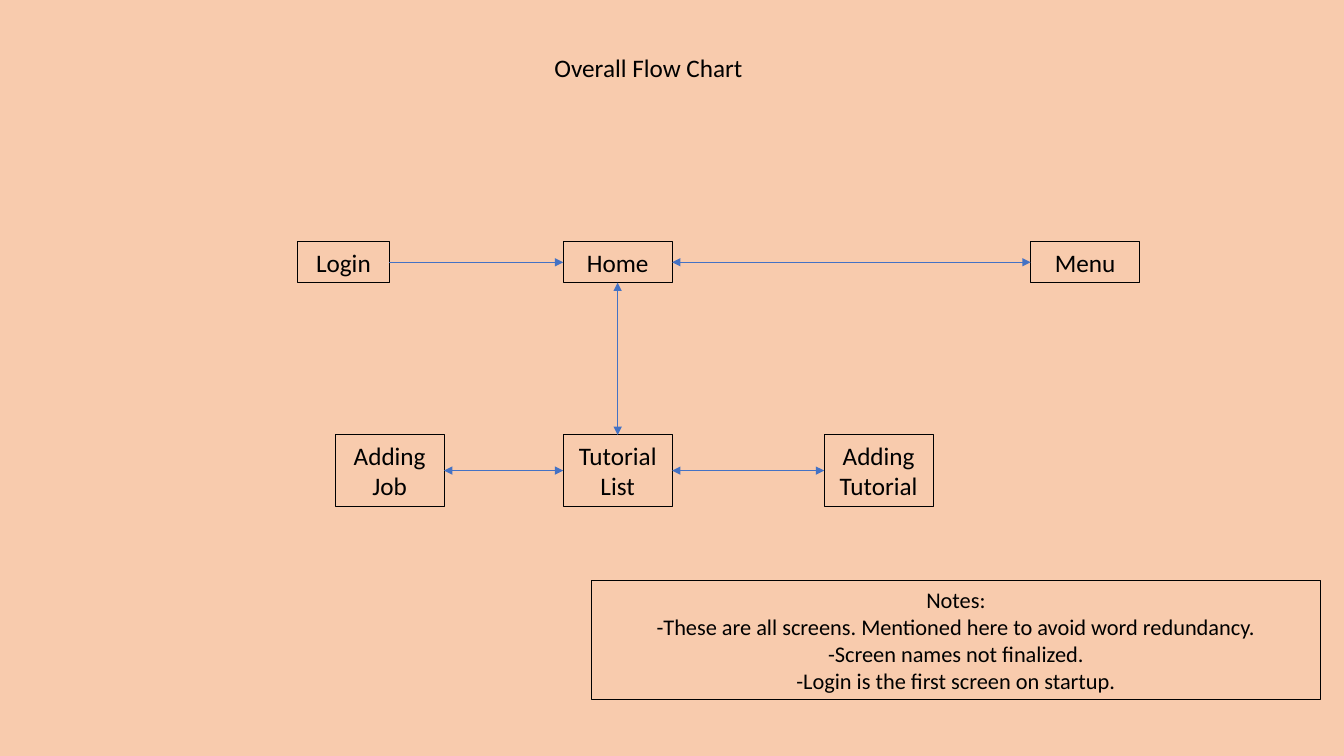
import pptx
import pptx.util
import pptx.dml.color
import pptx.enum.shapes
import pptx.enum.text
import pptx.oxml
import pptx.oxml.ns
from dataclasses import dataclass

Pt = pptx.util.Pt
RGB = pptx.dml.color.RGBColor.from_string
ALIGN = pptx.enum.text.PP_ALIGN

# Content
TITLE = "Overall Flow Chart"
NOTES = [
    "Notes:",
    "-These are all screens. Mentioned here to avoid word redundancy.",
    "-Screen names not finalized.",
    "-Login is the first screen on startup.",
]
# Each row: top, height, then (screen, left, width)
ROWS = [
    (172.8, 29.1, [("Login", 212.4, 65.8), ("Home", 402.3, 77.8), ("Menu", 736.2, 77.8)]),
    (310.7, 50.9, [("Adding Job", 239.4, 77.8), ("Tutorial List", 402.3, 77.8),
                   ("Adding Tutorial", 588.7, 77.8)]),
]
# Connection sites of a rectangle
LEFT, BOTTOM, RIGHT, TOP = 1, 2, 3, 0
# From screen, site, to screen, site, arrow at both ends
LINKS = [
    ("Login", RIGHT, "Home", LEFT, False),
    ("Home", RIGHT, "Menu", LEFT, True),
    ("Home", BOTTOM, "Tutorial List", TOP, True),
    ("Adding Job", RIGHT, "Tutorial List", LEFT, True),
    ("Tutorial List", RIGHT, "Adding Tutorial", LEFT, True),
]


@dataclass
class Theme:
    font: str = "Calibri"
    background: str = "F8CBAD"
    ink: str = "000000"
    arrow: str = "4472C4"
    body: float = 18
    notes: float = 16
    border: float = 0.75
    arrow_width: float = 0.5


theme = Theme()


def write(sp, lines, size, align):
    tf = sp.text_frame
    tf.text = "\n".join(lines)
    for p in tf.paragraphs:
        p.alignment = align
        p.line_spacing = 1.0
        for r in p.runs:
            r.font.name = theme.font
            r.font.size = Pt(size)
            r.font.color.rgb = RGB(theme.ink)


def add_box(s, lines, left, top, width, height, size):
    sp = s.shapes.add_shape(pptx.enum.shapes.MSO_SHAPE.RECTANGLE,
                            Pt(left), Pt(top), Pt(width), Pt(height))
    sp.shadow.inherit = False
    sp.fill.background()
    sp.line.color.rgb = RGB(theme.ink)
    sp.line.width = Pt(theme.border)
    sp.text_frame.word_wrap = True
    write(sp, lines, size, ALIGN.CENTER)
    return sp


def add_arrow(s, start, start_site, end, end_site, both):
    c = s.shapes.add_connector(pptx.enum.shapes.MSO_CONNECTOR.STRAIGHT, 0, 0, 0, 0)
    c.begin_connect(start, start_site)
    c.end_connect(end, end_site)
    c.line.color.rgb = RGB(theme.arrow)
    c.line.width = Pt(theme.arrow_width)
    ln = c.line._get_or_add_ln()
    for tag in ["a:headEnd", "a:tailEnd"] if both else ["a:tailEnd"]:
        ln.append(pptx.oxml.parse_xml(
            f'<{tag} {pptx.oxml.ns.nsdecls("a")} type="triangle"/>'))
    ln.addnext(pptx.oxml.parse_xml(f'<a:effectLst {pptx.oxml.ns.nsdecls("a")}/>'))


# Slide
prs = pptx.Presentation()
prs.slide_width, prs.slide_height = Pt(960), Pt(540)
s = prs.slides.add_slide(prs.slide_layouts[5])
s.background.fill.solid()
s.background.fill.fore_color.rgb = RGB(theme.background)

# Title
title = s.shapes.title
title.left, title.top, title.width, title.height = Pt(388.8), Pt(34), Pt(150.5), Pt(29.1)
title.text_frame.word_wrap = False
title.text_frame.auto_size = pptx.enum.text.MSO_AUTO_SIZE.SHAPE_TO_FIT_TEXT
title.text_frame.vertical_anchor = pptx.enum.text.MSO_ANCHOR.TOP
write(title, [TITLE], theme.body, ALIGN.LEFT)

# Screens
screens = {}
for top, height, row in ROWS:
    for name, left, width in row:
        screens[name] = add_box(s, [name], left, top, width, height, theme.body)

# Arrows
for start, start_site, end, end_site, both in LINKS:
    add_arrow(s, screens[start], start_site, screens[end], end_site, both)

# Notes
add_box(s, NOTES, 422.4, 414.6, 520.8, 85, theme.notes)

prs.save("out.pptx")
